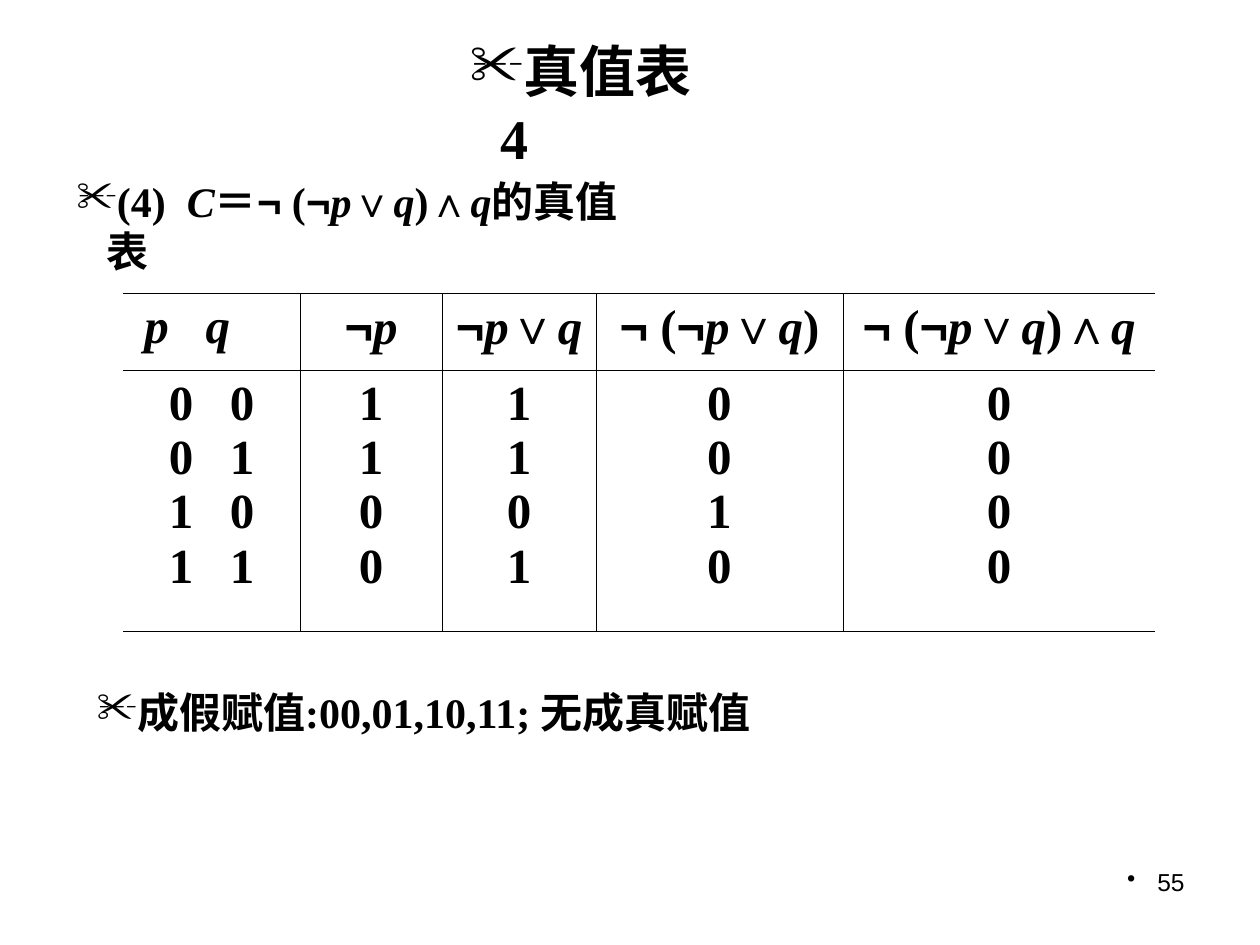
from dataclasses import dataclass
from itertools import groupby

from lxml import etree
from pptx import Presentation
from pptx.dml.color import RGBColor
from pptx.enum.text import MSO_ANCHOR, MSO_AUTO_SIZE, PP_ALIGN
from pptx.oxml.ns import qn
from pptx.util import Inches, Pt

LEFT, CENTER, RIGHT = PP_ALIGN.LEFT, PP_ALIGN.CENTER, PP_ALIGN.RIGHT
TOP, MIDDLE = MSO_ANCHOR.TOP, MSO_ANCHOR.MIDDLE
TITLE_ONLY = 5


@dataclass(frozen=True)
class Theme:
    ink: RGBColor = RGBColor(0, 0, 0)
    serif: str = "Times New Roman"
    sans: str = "Arial"
    chinese: str = "Noto Sans CJK SC"
    title: Pt = Pt(32)
    table: Pt = Pt(28)
    body: Pt = Pt(24)
    number: Pt = Pt(14)
    rule: Pt = Pt(0.45)
    hanging: Inches = Inches(0.24)


theme = Theme()


def write(paragraph, text, size, alignment=LEFT, bullet=None, font=theme.serif, bold=True):
    """Write text with upright sans operators and italic serif variables."""
    paragraph.alignment = alignment
    paragraph.font.size = size
    paragraph.font.bold = bold
    paragraph.font.color.rgb = theme.ink
    for kind, letters in groupby(text, lambda c: "operator" if c in "¬∨∧" else "variable" if c in "pqC" else "plain"):
        run = paragraph.add_run()
        run.text = "".join(letters)
        run.font.name = theme.sans if kind == "operator" else font
        run.font.italic = kind == "variable"
        etree.SubElement(run.font._element, qn("a:ea"), typeface=theme.chinese)
    if bullet:
        properties = paragraph._p.get_or_add_pPr()
        properties.set("marL", str(theme.hanging))
        properties.set("indent", str(-theme.hanging))
        mark = etree.Element(qn("a:buChar"), char=bullet)
        defaults = properties.find(qn("a:defRPr"))
        defaults.addprevious(mark)


presentation = Presentation()
presentation.slide_width, presentation.slide_height = Inches(10), Inches(7.5)
slide = presentation.slides.add_slide(presentation.slide_layouts[TITLE_ONLY])

# Title: the wide right inset sends the number to a second line
title = slide.shapes.title
title.left, title.top, title.width, title.height = Inches(3.63), Inches(0.24), Inches(2.29), Inches(0.64)
title_frame = title.text_frame
title_frame.word_wrap = True
title_frame.auto_size = MSO_AUTO_SIZE.NONE
title_frame.vertical_anchor = TOP
title_frame.margin_right = Inches(0.3)
write(title_frame.paragraphs[0], "真值表4", theme.title, bullet="✂")

# Formula, conclusion and slide number
notes = [
    ("(4)  C＝¬ (¬p∨q)∧q的真值表", (0.51, 1.54, 4.65, 0.5), MIDDLE,
     dict(size=theme.body, bullet="✂")),
    ("成假赋值:00,01,10,11; 无成真赋值", (0.67, 5.4, 5.7, 0.5), MIDDLE,
     dict(size=theme.body, bullet="✂")),
    ("55", (7.17, 6.83, 2.33, 0.52), TOP,
     dict(size=theme.number, bullet="•", alignment=RIGHT, font=theme.sans, bold=False)),
]
for text, box, anchor, style in notes:
    frame = slide.shapes.add_textbox(*map(Inches, box)).text_frame
    frame.word_wrap = True
    frame.vertical_anchor = anchor
    write(frame.paragraphs[0], text, **style)

# Truth table: one heading and one stack of values per column
columns = [
    (1.4, "p   q    ", ["0   0", "0   1", "1   0", "1   1"]),
    (1.13, "¬p", "1100"),
    (1.22, "¬p∨q", "1101"),
    (1.96, "¬ (¬p∨q)", "0010"),
    (2.48, "¬ (¬p∨q)∧q", "0000"),
]
table = slide.shapes.add_table(
    2, len(columns), Inches(0.98), Inches(2.33), Inches(8.19), Inches(2.68)).table
table.first_row = table.horz_banding = False
table.rows[0].height, table.rows[1].height = Inches(0.61), Inches(2.07)

for column, (width, heading, values) in enumerate(columns):
    table.columns[column].width = Inches(width)
    for row, lines in enumerate([[heading], values]):
        cell = table.cell(row, column)
        for index, line in enumerate(lines):
            frame = cell.text_frame
            paragraph = frame.add_paragraph() if index else frame.paragraphs[0]
            write(paragraph, line, theme.table, CENTER)

        # Rules everywhere except the two outer sides
        properties = cell._tc.get_or_add_tcPr()
        open_sides = {"a:lnL": column == 0, "a:lnR": column == len(columns) - 1}
        for side in ("a:lnL", "a:lnR", "a:lnT", "a:lnB"):
            border = etree.SubElement(properties, qn(side), w=str(theme.rule))
            if open_sides.get(side):
                etree.SubElement(border, qn("a:noFill"))
            else:
                fill = etree.SubElement(border, qn("a:solidFill"))
                etree.SubElement(fill, qn("a:srgbClr"), val=str(theme.ink))
        cell.fill.background()

presentation.save("out.pptx")
